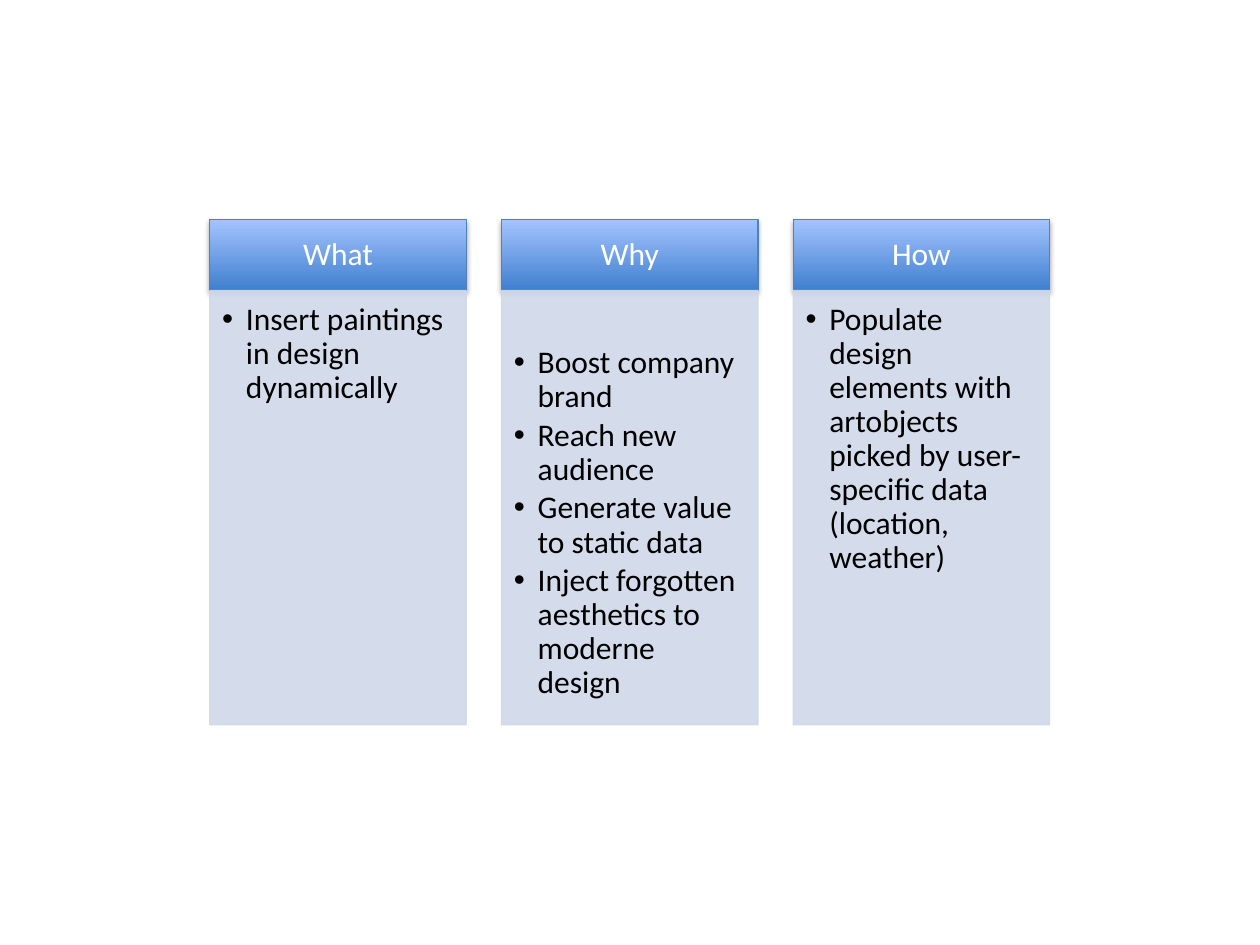
import dataclasses

import pptx
import pptx.dml.color
import pptx.enum.shapes
import pptx.enum.text
import pptx.oxml
import pptx.oxml.ns
import pptx.util

Cm = pptx.util.Cm
Pt = pptx.util.Pt
RGB = pptx.dml.color.RGBColor.from_string
qn = pptx.oxml.ns.qn
Align = pptx.enum.text.PP_ALIGN
Anchor = pptx.enum.text.MSO_ANCHOR


@dataclasses.dataclass(frozen=True)
class Theme:
    """Colours, font and type size of the slide."""
    low: str = "3F7FCE"
    high: str = "A4C4FF"
    edge: str = "4F81BD"
    panel: str = "D0D8E8"
    shade: str = "000000"
    head: str = "FFFFFF"
    body: str = "000000"
    font: str = "Calibri"
    size: float = 18


THEME = Theme()
LEFT, TOP, WIDTH, PITCH = 4.23, 4.42, 5.17, 5.88
HEAD, BODY = 1.44, 8.75
COLUMNS = [
    ("What", ["Insert paintings in design dynamically"], 0.25),
    ("Why", ["Boost company brand", "Reach new audience",
             "Generate value to static data",
             "Inject forgotten aesthetics to moderne design"], 1.12),
    ("How", ["Populate design elements with artobjects picked by "
             "user-specific data (location, weather)"], 0.25),
]


def apply(target, values):
    """Set attributes from a dict of format values."""
    for name, value in values.items():
        setattr(target, name, value)


def add(parent, tag, **attrs):
    """Append a DrawingML element with its attributes."""
    node = parent.makeelement(qn(tag), {k: str(v) for k, v in attrs.items()})
    parent.append(node)
    return node


def add_box(slide, left, top, height, edge):
    """Add a plain outlined rectangle of column width."""
    box = slide.shapes.add_shape(
        pptx.enum.shapes.MSO_SHAPE.RECTANGLE,
        Cm(left), Cm(top), Cm(WIDTH), Cm(height))
    box.shadow.inherit = False
    box.line.width = Pt(0.75)
    box.line.color.rgb = RGB(edge)
    return box


def add_text(box, lines, color, frame, para):
    """Fill a box with one formatted paragraph per line."""
    text = box.text_frame
    apply(text, {"word_wrap": True, **frame})
    text.text = "\n".join(lines)
    for item in text.paragraphs:
        apply(item, {"line_spacing": 0.9, **para})
        font = item.runs[0].font
        apply(font, {"name": THEME.font, "size": Pt(THEME.size)})
        font.color.rgb = RGB(color)


def add_head(slide, left, title):
    """Add a gradient heading with a soft shadow."""
    box = add_box(slide, left, TOP, HEAD, THEME.edge)
    box.fill.gradient()
    box.fill.gradient_angle = 90
    for stop, color in zip(box.fill.gradient_stops, (THEME.low, THEME.high)):
        stop.color.rgb = RGB(color)
    effects = box.element.spPr.find(qn("a:effectLst"))
    shadow = add(effects, "a:outerShdw", blurRad=Pt(3.1), dist=Pt(1.8),
                 dir=5400000, rotWithShape=0)
    tint = add(shadow, "a:srgbClr", val=THEME.shade)
    add(tint, "a:alpha", val=35000)
    add_text(box, [title], THEME.head, {
        "vertical_anchor": Anchor.MIDDLE,
        "margin_left": Cm(0.36), "margin_right": Cm(0.36),
        "margin_top": Cm(0.2), "margin_bottom": Cm(0.2),
    }, {"alignment": Align.CENTER})


def add_panel(slide, left, lines, inset):
    """Add a translucent panel with a bulleted list."""
    box = add_box(slide, left, TOP + HEAD, BODY, THEME.panel)
    box.fill.solid()
    box.fill.fore_color.rgb = RGB(THEME.panel)
    for tint in box.element.spPr.iter(qn("a:srgbClr")):
        add(tint, "a:alpha", val=90000)
    add_text(box, lines, THEME.body, {
        "vertical_anchor": Anchor.TOP,
        "margin_left": Cm(0.25), "margin_right": Cm(0.36),
        "margin_top": Cm(inset), "margin_bottom": Cm(0.41),
    }, {"alignment": Align.LEFT, "level": 1, "space_after": Pt(2.7)})
    for item in box.text_frame.paragraphs:
        props = item._p.get_or_add_pPr()
        props.set("marL", str(Cm(0.48)))
        props.set("indent", str(-Cm(0.48)))
        add(props, "a:buFont", typeface="Arial")
        add(props, "a:buChar", char="•")


def main():
    """Build the three-column slide and save it."""
    deck = pptx.Presentation()
    apply(deck, {"slide_width": Cm(25.4), "slide_height": Cm(19.05)})
    slide = deck.slides.add_slide(deck.slide_layouts[6])
    for index, (title, lines, inset) in enumerate(COLUMNS):
        left = LEFT + index * PITCH
        add_head(slide, left, title)
        add_panel(slide, left, lines, inset)
    deck.save("out.pptx")


if __name__ == "__main__":
    main()
